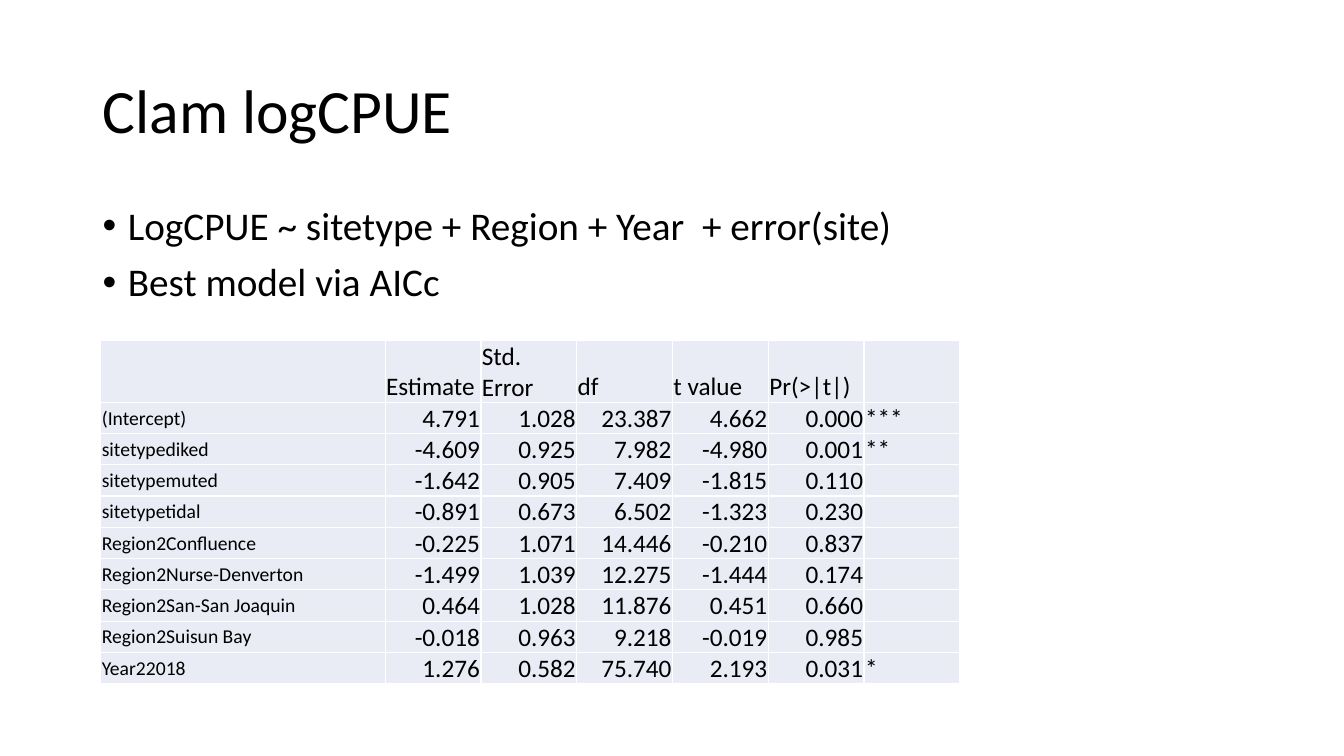
"""Build the clam logCPUE slide with its model terms table."""
from typing import NamedTuple

from lxml import etree
from pptx import Presentation
from pptx.dml.color import RGBColor
from pptx.enum.text import MSO_ANCHOR, PP_ALIGN
from pptx.oxml.ns import qn
from pptx.util import Emu, Pt

TOP, MIDDLE, BOTTOM = MSO_ANCHOR.TOP, MSO_ANCHOR.MIDDLE, MSO_ANCHOR.BOTTOM
LEFT, RIGHT = PP_ALIGN.LEFT, PP_ALIGN.RIGHT
EMU_PER_PX = 9144
FONT = "Calibri"
BLACK, WHITE, PALE_BLUE = "000000", "FFFFFF", "E9EBF5"
BORDER_EMU = 12700


class TextBlock(NamedTuple):
    lines: list[str]
    left: int
    top: int
    width: int
    height: int
    size: int
    anchor: MSO_ANCHOR
    space_before: int
    bullet: str


class Term(NamedTuple):
    name: str
    figures: str
    stars: str = ""


BLOCKS = [
    TextBlock(["Clam logCPUE"], 92, 40, 1150, 145, 44, MIDDLE, 0, ""),
    TextBlock(
        ["LogCPUE ~ sitetype + Region + Year  + error(site)", "Best model via AICc"],
        92, 200, 1150, 476, 28, TOP, 10, "•",
    ),
]
HEADINGS = ["", "Estimate", "Std. Error", "df", "t value", "Pr(>|t|)", ""]
TERMS = [
    Term("(Intercept)", "4.791 1.028 23.387 4.662 0.000", "***"),
    Term("sitetypediked", "-4.609 0.925 7.982 -4.980 0.001", "**"),
    Term("sitetypemuted", "-1.642 0.905 7.409 -1.815 0.110"),
    Term("sitetypetidal", "-0.891 0.673 6.502 -1.323 0.230"),
    Term("Region2Confluence", "-0.225 1.071 14.446 -0.210 0.837"),
    Term("Region2Nurse-Denverton", "-1.499 1.039 12.275 -1.444 0.174"),
    Term("Region2San-San Joaquin", "0.464 1.028 11.876 0.451 0.660"),
    Term("Region2Suisun Bay", "-0.018 0.963 9.218 -0.019 0.985"),
    Term("Year22018", "1.276 0.582 75.740 2.193 0.031", "*"),
]
TABLE_LEFT, TABLE_TOP = 100, 338
NAME_WIDTH, FIGURE_WIDTH = 282, 95
HEADING_HEIGHT, TERM_HEIGHT = 61, 31


def px(length: int) -> Emu:
    """Turn px into EMU."""
    return Emu(length * EMU_PER_PX)


def colour(value: str) -> RGBColor:
    """Turn a hex string into a colour."""
    return RGBColor.from_string(value)


def write_text(frame, lines: list[str], *, size: int, align=LEFT,
               line_spacing: float = 1.0, space_before: int = 0, bullet: str = "") -> None:
    """Write one formatted paragraph per line."""
    for index, line in enumerate(lines):
        paragraph = frame.add_paragraph() if index else frame.paragraphs[0]
        paragraph.alignment = align
        paragraph.line_spacing = line_spacing
        paragraph.space_before = Pt(space_before)
        if bullet:
            properties = paragraph._p.get_or_add_pPr()
            properties.set("marL", str(px(25)))
            properties.set("indent", str(px(-25)))
            etree.SubElement(properties, qn("a:buFont")).set("typeface", "Arial")
            etree.SubElement(properties, qn("a:buChar")).set("char", bullet)
        run = paragraph.add_run()
        run.text = line
        run.font.name = FONT
        run.font.size = Pt(size)
        run.font.color.rgb = colour(BLACK)


def add_block(slide, block: TextBlock) -> None:
    """Add a text box for one block."""
    box = slide.shapes.add_textbox(*map(px, (block.left, block.top, block.width, block.height)))
    frame = box.text_frame
    frame.word_wrap = True
    frame.vertical_anchor = block.anchor
    write_text(frame, block.lines, size=block.size, line_spacing=0.9,
               space_before=block.space_before, bullet=block.bullet)


def style_cell(cell, anchor: MSO_ANCHOR) -> None:
    """Set the insets, borders and fill of a cell."""
    cell.margin_left = cell.margin_right = cell.margin_top = px(1)
    cell.margin_bottom = px(0)
    cell.vertical_anchor = anchor
    properties = cell._tc.get_or_add_tcPr()
    for side in ("lnL", "lnR", "lnT", "lnB"):
        border = etree.SubElement(properties, qn(f"a:{side}"), w=str(BORDER_EMU))
        fill = etree.SubElement(border, qn("a:solidFill"))
        etree.SubElement(fill, qn("a:srgbClr"), val=WHITE)
    cell.fill.solid()
    cell.fill.fore_color.rgb = colour(PALE_BLUE)


def add_terms_table(slide) -> None:
    """Add the table of model terms."""
    rows = [HEADINGS] + [[term.name, *term.figures.split(), term.stars] for term in TERMS]
    widths = [NAME_WIDTH] + [FIGURE_WIDTH] * (len(HEADINGS) - 1)
    heights = [HEADING_HEIGHT] + [TERM_HEIGHT] * len(TERMS)
    table = slide.shapes.add_table(
        len(rows), len(widths), px(TABLE_LEFT), px(TABLE_TOP), px(sum(widths)), px(sum(heights))
    ).table
    table.first_row = table.horz_banding = False
    for column, width in zip(table.columns, widths):
        column.width = px(width)
    for row_index, (texts, height) in enumerate(zip(rows, heights)):
        table.rows[row_index].height = px(height)
        for column_index, text in enumerate(texts):
            is_name = row_index > 0 and column_index == 0
            is_figure = row_index > 0 and 0 < column_index < len(texts) - 1
            cell = table.cell(row_index, column_index)
            style_cell(cell, MIDDLE if is_name else BOTTOM)
            if text:
                write_text(cell.text_frame, [text], size=14 if is_name else 18,
                           align=RIGHT if is_figure else LEFT)


def main() -> None:
    """Build and save the slide."""
    presentation = Presentation()
    presentation.slide_width, presentation.slide_height = px(1333), px(750)
    slide = presentation.slides.add_slide(presentation.slide_layouts[6])
    for block in BLOCKS:
        add_block(slide, block)
    add_terms_table(slide)
    presentation.save("out.pptx")


if __name__ == "__main__":
    main()
